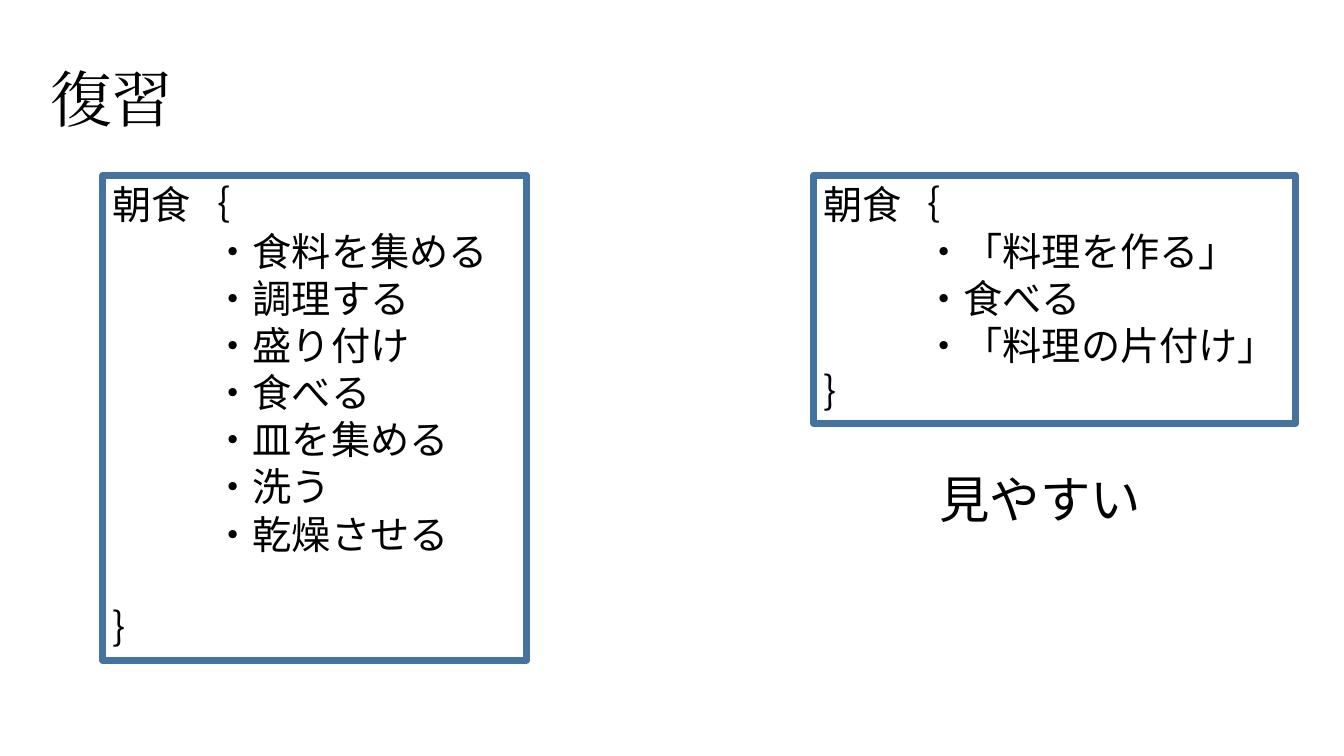
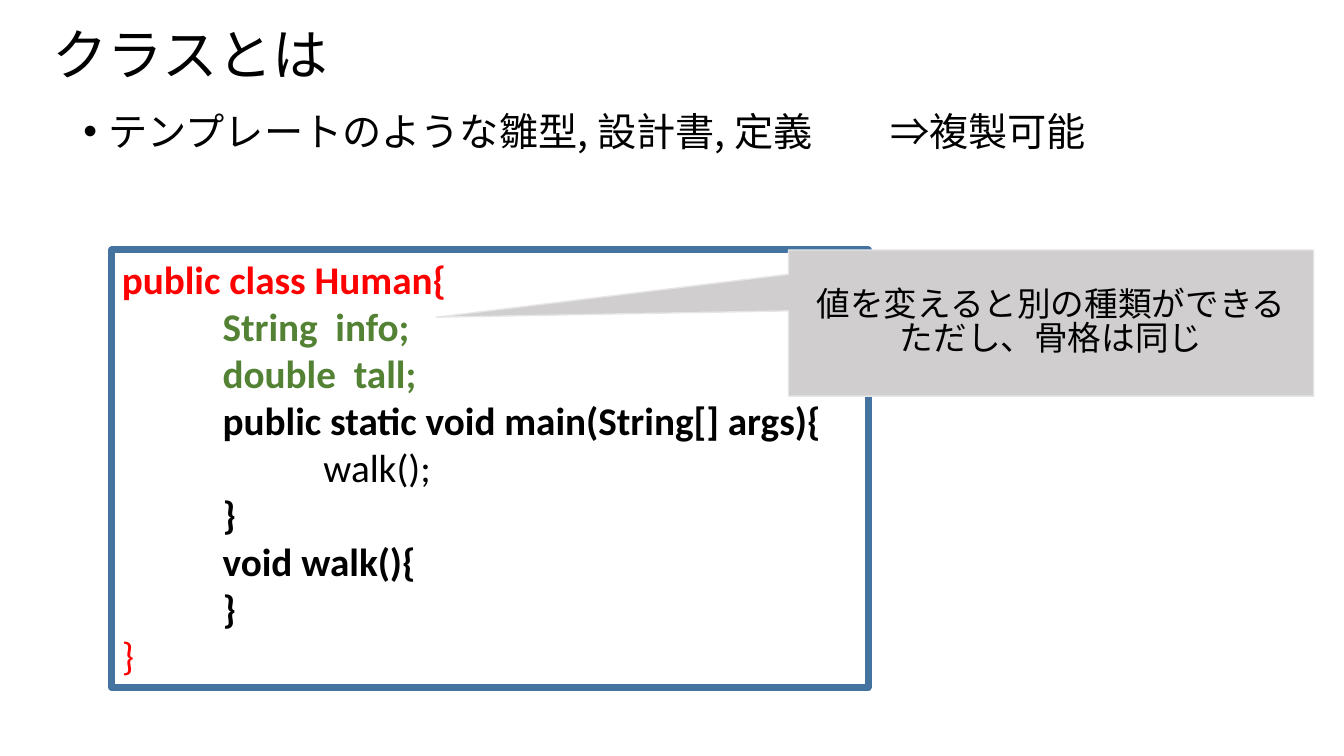
from dataclasses import dataclass

from lxml import etree
from pptx import Presentation
from pptx.dml.color import RGBColor
from pptx.enum.shapes import MSO_SHAPE
from pptx.enum.text import MSO_ANCHOR, PP_ALIGN
from pptx.oxml.ns import qn
from pptx.util import Emu, Pt

RECTANGLE = MSO_SHAPE.RECTANGLE
CALLOUT = MSO_SHAPE.RECTANGULAR_CALLOUT
TOP, MIDDLE = MSO_ANCHOR.TOP, MSO_ANCHOR.MIDDLE
LEFT, CENTER = PP_ALIGN.LEFT, PP_ALIGN.CENTER
EMU_PER_PX = 9144
BLANK_LAYOUT = 6


@dataclass(frozen=True)
class Theme:
    black: str = "000000"
    red: str = "FF0000"
    green: str = "548235"
    frame: str = "43739E"
    callout_fill: str = "D0CECE"
    callout_line: str = "E7E6E6"
    latin_font: str = "Calibri"
    review_title_font: str = "Cambria"
    japanese_font: str = "Noto Sans CJK JP"
    review_title_size: float = 44
    class_title_size: float = 39.6
    remark_size: int = 36
    body_size: int = 28
    callout_size: int = 24
    frame_width: int = 5
    indent: int = 100
    bullet_indent: int = 25


THEME = Theme()


@dataclass(frozen=True)
class Line:
    text: str
    level: int = 0
    color: str = THEME.black
    bold: bool = False
    space_before: int = 0


def breakfast(*steps, gap=0):
    return [Line("朝食｛"), *(Line("・" + step, 1) for step in steps),
            Line("｝", space_before=gap)]


REVIEW_TITLE = "復習"
REVIEW_BOXES = [
    ((102, 174, 420, 481), breakfast(
        "食料を集める", "調理する", "盛り付け", "食べる",
        "皿を集める", "洗う", "乾燥させる", gap=34)),
    ((807, 174, 478, 246), breakfast(
        "「料理を作る」", "食べる", "「料理の片付け」")),
]
REMARK = "見やすい"

CLASS_TITLE = "クラスとは"
CLASS_SUMMARY = "テンプレートのような雛型, 設計書, 定義\t\t⇒複製可能"
CLASS_CODE = [
    Line("public class Human{", 0, THEME.red, True),
    Line("String  info;", 1, THEME.green, True),
    Line("double  tall;", 1, THEME.green, True),
    Line("public static void main(String[] args){", 1, bold=True),
    Line("walk();", 2),
    Line("}", 1, bold=True),
    Line("void walk(){", 1, bold=True),
    Line("}", 1, bold=True),
    Line("}", 0, THEME.red),
]
CALLOUT_LINES = [Line("値を変えると別の種類ができる"), Line("ただし、骨格は同じ")]
CALLOUT_POINTER = (-1.17, -0.04)


def px(length):
    return Emu(length * EMU_PER_PX)


def write_lines(shape, lines, size, font=THEME.latin_font, anchor=TOP,
                align=LEFT, spacing=1.0):
    frame = shape.text_frame
    frame.word_wrap = True
    frame.vertical_anchor = anchor
    for index, line in enumerate(lines):
        paragraph = frame.add_paragraph() if index else frame.paragraphs[0]
        paragraph.text = line.text
        paragraph.alignment = align
        paragraph.line_spacing = spacing
        paragraph.space_before = Pt(line.space_before)
        if line.level:
            set_indent(paragraph, line.level * THEME.indent, 0)
        for run in paragraph.runs:
            run.font.name = font
            run.font.size = Pt(size)
            run.font.bold = line.bold
            run.font.color.rgb = RGBColor.from_string(line.color)
            east_asian = etree.SubElement(run.font._element, qn("a:ea"))
            east_asian.set("typeface", font)


def set_indent(paragraph, margin, first_line):
    properties = paragraph._p.get_or_add_pPr()
    properties.set("marL", str(px(margin)))
    properties.set("indent", str(px(first_line)))
    return properties


def add_bullet(paragraph):
    properties = set_indent(paragraph, THEME.bullet_indent, -THEME.bullet_indent)
    etree.SubElement(properties, qn("a:buFont")).set("typeface", "Arial")
    etree.SubElement(properties, qn("a:buChar")).set("char", "•")


def add_text(slide, box, text, size, **style):
    shape = slide.shapes.add_textbox(*map(px, box))
    write_lines(shape, [Line(text)], size, **style)
    return shape


def add_title(slide, box, text, size, font):
    add_text(slide, box, text, size, font=font, anchor=MIDDLE, spacing=0.9)


def add_panel(slide, kind, box, line_color, line_width, fill=None):
    shape = slide.shapes.add_shape(kind, *map(px, box))
    shape.shadow.inherit = False
    shape.line.color.rgb = RGBColor.from_string(line_color)
    shape.line.width = Pt(line_width)
    if fill:
        shape.fill.solid()
        shape.fill.fore_color.rgb = RGBColor.from_string(fill)
    else:
        shape.fill.background()
    return shape


def add_code_box(slide, box, lines):
    shape = add_panel(slide, RECTANGLE, box, THEME.frame, THEME.frame_width)
    write_lines(shape, lines, THEME.body_size)


def build_review(slide):
    add_title(slide, (40, 29, 1150, 145), REVIEW_TITLE,
              THEME.review_title_size, THEME.review_title_font)
    for box, lines in REVIEW_BOXES:
        add_code_box(slide, box, lines)
    add_text(slide, (922, 459, 308, 71), REMARK, THEME.remark_size)


def build_class(slide):
    add_title(slide, (42, 20, 1150, 74), CLASS_TITLE,
              THEME.class_title_size, THEME.japanese_font)
    summary = add_text(slide, (73, 111, 1150, 521), CLASS_SUMMARY,
                       THEME.body_size, font=THEME.japanese_font, spacing=0.8)
    add_bullet(summary.text_frame.paragraphs[0])
    add_code_box(slide, (111, 248, 750, 434), CLASS_CODE)
    callout = add_panel(slide, CALLOUT, (782, 248, 521, 145),
                        THEME.callout_line, 1, THEME.callout_fill)
    for index, value in enumerate(CALLOUT_POINTER):
        callout.adjustments[index] = value
    write_lines(callout, CALLOUT_LINES, THEME.callout_size,
                font=THEME.japanese_font, anchor=MIDDLE, align=CENTER,
                spacing=0.85)


def main():
    presentation = Presentation()
    presentation.slide_width, presentation.slide_height = px(1333), px(750)
    layout = presentation.slide_layouts[BLANK_LAYOUT]
    for build in (build_review, build_class):
        build(presentation.slides.add_slide(layout))
    presentation.save("out.pptx")


if __name__ == "__main__":
    main()
